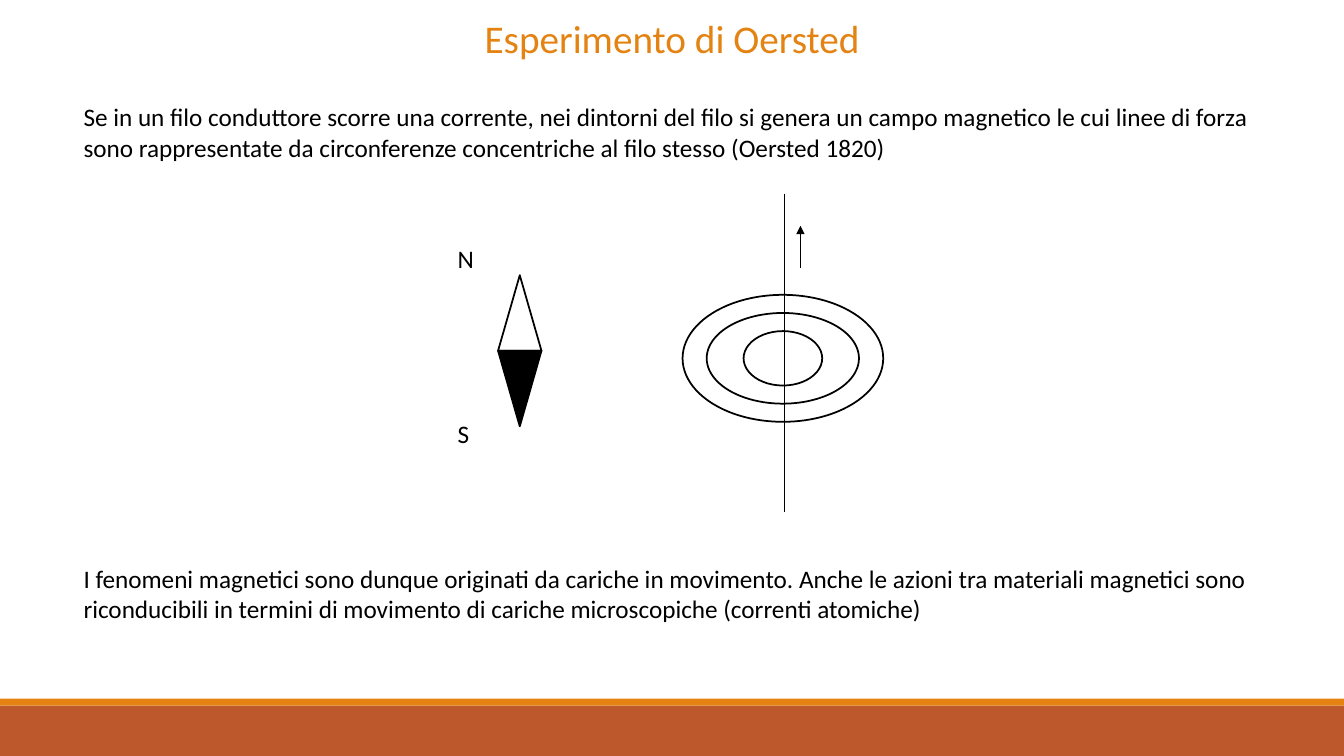
from lxml import etree
from pptx import Presentation
from pptx import util as u
from pptx.dml.color import RGBColor
from pptx.enum import shapes, text
from pptx.oxml.ns import qn

BLACK = RGBColor(0x00, 0x00, 0x00)
ORANGE = RGBColor(0xE4, 0x83, 0x12)
RUST = RGBColor(0xBD, 0x58, 0x2C)

WIDTH, HEIGHT = u.Inches(13.33), u.Inches(7.5)
FONT = "Calibri"
SHAPE = shapes.MSO_SHAPE

LAW = ("Se in un filo conduttore scorre una corrente, nei dintorni del filo si genera "
       "un campo magnetico le cui linee di forza sono rappresentate da circonferenze "
       "concentriche al filo stesso (Oersted 1820)")
CONCLUSION = ("I fenomeni magnetici sono dunque originati da cariche in movimento. Anche le "
              "azioni tra materiali magnetici sono riconducibili in termini di movimento di "
              "cariche microscopiche (correnti atomiche)")


def across(share):
    """Length of a percentage of the slide's width."""
    return round(WIDTH * share / 100)


def down(share):
    """Length of a percentage of the slide's height."""
    return round(HEIGHT * share / 100)


def area(left, top, width, height):
    return across(left), down(top), across(width), down(height)


def apply(target, formats):
    for name, value in formats.items():
        setattr(target, name, value)


def write(box, words, size=18, color=BLACK, align=text.PP_ALIGN.LEFT, wrap=True):
    frame = box.text_frame
    apply(frame, {"word_wrap": wrap, "vertical_anchor": text.MSO_ANCHOR.TOP,
                  "auto_size": text.MSO_AUTO_SIZE.SHAPE_TO_FIT_TEXT})
    para = frame.paragraphs[0]
    apply(para, {"alignment": align, "line_spacing": 1.0})
    span = para.add_run()
    apply(span, {"text": words})
    apply(span.font, {"name": FONT, "size": u.Pt(size)})
    span.font.color.rgb = color


def add_title(page, words):
    title = page.shapes.title
    left, top, width, height = area(0, 1.2, 100, 7.6)
    apply(title, {"left": left, "top": top, "width": width, "height": height})
    write(title, words, 28, ORANGE, text.PP_ALIGN.CENTER)


def add_text(page, place, words, wrap=True):
    write(page.shapes.add_textbox(*area(*place)), words, wrap=wrap)


def add_figure(page, kind, place, fill=None, line=None, rotation=0):
    figure = page.shapes.add_shape(kind, *area(*place))
    figure.shadow.inherit = False
    figure.rotation = rotation
    if fill is None:
        figure.fill.background()
    else:
        figure.fill.solid()
        figure.fill.fore_color.rgb = fill
    if line is None:
        figure.line.fill.background()
    else:
        figure.line.color.rgb = line
        figure.line.width = u.Pt(1.25)


def add_vertical(page, x, start, end, arrow=False):
    line = page.shapes.add_connector(shapes.MSO_CONNECTOR.STRAIGHT,
                                     across(x), down(start), across(x), down(end))
    line.line.color.rgb = BLACK
    line.line.width = u.Pt(1)
    properties = line._element.spPr
    if arrow:
        etree.SubElement(properties.find(qn("a:ln")), qn("a:tailEnd"), type="triangle")
    etree.SubElement(properties, qn("a:effectLst"))


def add_compass(page):
    left, top, width, half = 37.06, 36.4, 3.23, 10
    add_figure(page, SHAPE.ISOSCELES_TRIANGLE, (left, top, width, half), line=BLACK)
    add_figure(page, SHAPE.ISOSCELES_TRIANGLE, (left, top + half, width, half),
               BLACK, BLACK, rotation=180)
    for pole, label_top in (("N", 31.47), ("S", 54.67)):
        add_text(page, (33.31, label_top, 2.7, 5.33), pole, wrap=False)


def add_field(page):
    """Wire, its current arrow and the concentric lines of force."""
    add_vertical(page, 58.36, 25.6, 67.73)
    add_vertical(page, 59.56, 35.47, 29.87, arrow=True)
    x, y = 58.25, 47.4
    for width, height in ((14.93, 16.8), (11.33, 12), (5.85, 7.2)):
        add_figure(page, SHAPE.OVAL, (x - width / 2, y - height / 2, width, height),
                   line=BLACK)


def main():
    deck = Presentation()
    apply(deck, {"slide_width": WIDTH, "slide_height": HEIGHT})
    page = deck.slides.add_slide(deck.slide_layouts.get_by_name("Title Only"))
    add_figure(page, SHAPE.RECTANGLE, (0, 93.33, 100, 6.67), RUST)
    add_figure(page, SHAPE.RECTANGLE, (0, 92.4, 100, 0.93), ORANGE)
    add_title(page, "Esperimento di Oersted")
    add_compass(page)
    add_field(page)
    add_text(page, (5.48, 12.8, 91.07, 9.47), LAW)
    add_text(page, (5.48, 73.87, 92.12, 9.47), CONCLUSION)
    deck.save("out.pptx")


if __name__ == "__main__":
    main()
